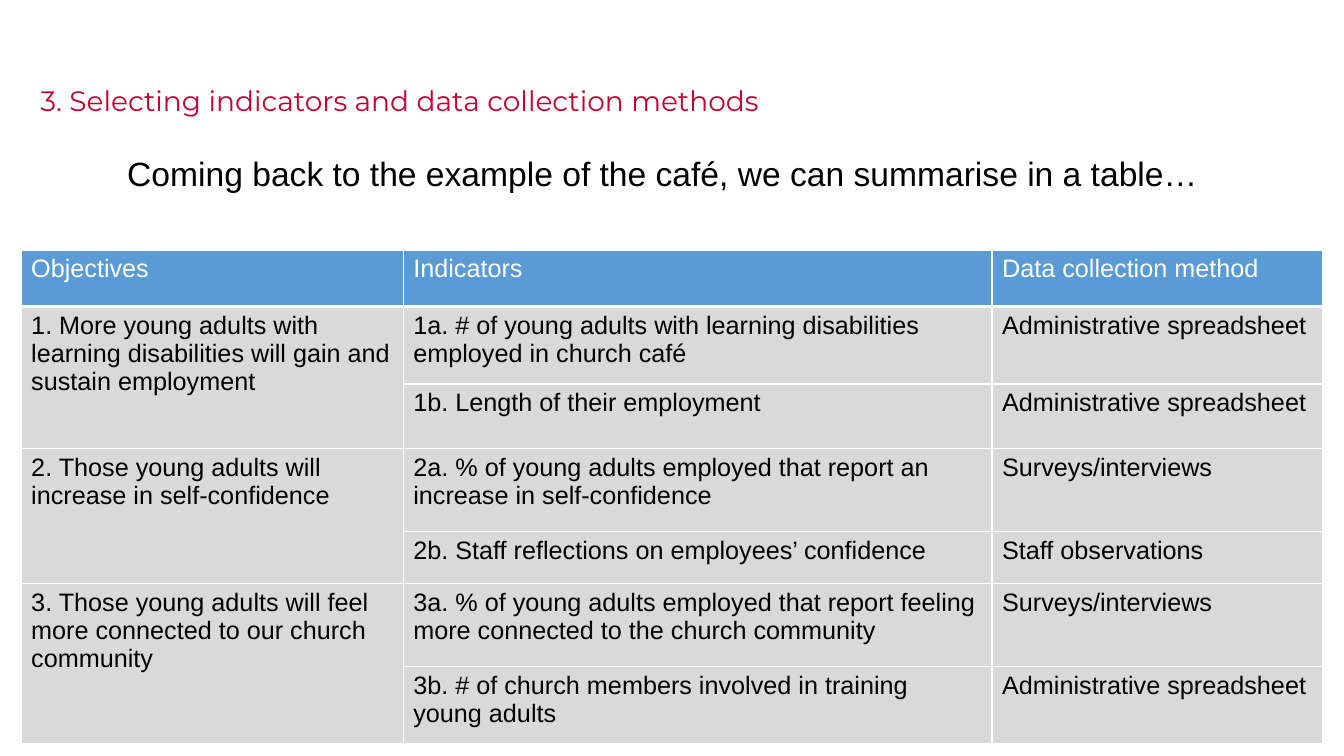
from lxml import etree
from pptx import Presentation
from pptx.dml.color import RGBColor
from pptx.enum.text import MSO_ANCHOR, PP_ALIGN
from pptx.oxml.ns import qn
from pptx.util import Inches, Pt

TITLE = "3. Selecting indicators and data collection methods"
INTRO = "Coming back to the example of the café, we can summarise in a table…"
HEADERS = ["Objectives", "Indicators", "Data collection method"]
OBJECTIVES = [
    ("1. More young adults with learning disabilities will gain and sustain employment", [
        ("1a. # of young adults with learning disabilities employed in church café",
         "Administrative spreadsheet"),
        ("1b. Length of their employment", "Administrative spreadsheet"),
    ]),
    ("2. Those young adults will increase in self-confidence", [
        ("2a. % of young adults employed that report an increase in self-confidence",
         "Surveys/interviews"),
        ("2b. Staff reflections on employees’ confidence", "Staff observations"),
    ]),
    ("3. Those young adults will feel more connected to our church community", [
        ("3a. % of young adults employed that report feeling more connected "
         "to the church community", "Surveys/interviews"),
        ("3b. # of church members involved in training young adults",
         "Administrative spreadsheet"),
    ]),
]
COLUMN_WIDTHS = [3.79, 5.84, 3.28]
ROW_HEIGHTS = [0.56, 0.77, 0.64, 0.82, 0.52, 0.82, 0.77]

TITLE_FONT = {"name": "Montserrat", "size": Pt(20), "color": "C4002F"}
INTRO_FONT = {"name": "Arial", "size": Pt(24), "color": "000000"}
HEADER_FONT = {"name": "Arial", "size": Pt(18), "bold": False, "color": "FFFFFF"}
BODY_FONT = {**HEADER_FONT, "color": "000000"}
HEADER_FILL, BODY_FILL, BORDER = "5B9BD5", "D9D9D9", "FFFFFF"


def color(value):
    return RGBColor.from_string(value)


def write(text_frame, text, font_format, **paragraph_format):
    paragraph = text_frame.paragraphs[0]
    for name, value in paragraph_format.items():
        setattr(paragraph, name, value)
    run = paragraph.add_run()
    run.text = text
    for name, value in font_format.items():
        if name == "color":
            run.font.color.rgb = color(value)
        else:
            setattr(run.font, name, value)


def add_borders(cell, bottom=1):
    properties = cell._tc.get_or_add_tcPr()
    widths = {"a:lnL": 1, "a:lnR": 1, "a:lnT": 1, "a:lnB": bottom}
    for position, (tag, width) in enumerate(widths.items()):
        line = etree.Element(qn(tag), w=str(Pt(width)))
        fill = etree.SubElement(line, qn("a:solidFill"))
        etree.SubElement(fill, qn("a:srgbClr"), val=BORDER)
        properties.insert(position, line)


presentation = Presentation()
presentation.slide_width, presentation.slide_height = Inches(13.33), Inches(7.5)
slide = presentation.slides.add_slide(presentation.slide_layouts[5])

# Title
title = slide.shapes.title
title.left, title.top, title.width, title.height = map(Inches, (0.3, 0.52, 9.85, 0.99))
title.text_frame.vertical_anchor = MSO_ANCHOR.MIDDLE
write(title.text_frame, TITLE, TITLE_FONT, alignment=PP_ALIGN.LEFT, line_spacing=0.9)

# Table: one objective spans the rows of its indicators
rows = [HEADERS]
spans = []
for objective, indicators in OBJECTIVES:
    spans.append((len(rows), len(rows) + len(indicators) - 1))
    for number, (indicator, method) in enumerate(indicators):
        rows.append(["" if number else objective, indicator, method])

table = slide.shapes.add_table(
    len(rows), len(HEADERS), Inches(0.21), Inches(2.48),
    Inches(sum(COLUMN_WIDTHS)), Inches(sum(ROW_HEIGHTS))).table
for column, width in zip(table.columns, COLUMN_WIDTHS):
    column.width = Inches(width)
for row, height in zip(table.rows, ROW_HEIGHTS):
    row.height = Inches(height)
for first, last in spans:
    table.cell(first, 0).merge(table.cell(last, 0))

for row_index, texts in enumerate(rows):
    is_header = row_index == 0
    for column_index, text in enumerate(texts):
        cell = table.cell(row_index, column_index)
        cell.fill.solid()
        cell.fill.fore_color.rgb = color(HEADER_FILL if is_header else BODY_FILL)
        add_borders(cell, bottom=3 if is_header else 1)
        if text:
            write(cell.text_frame, text, HEADER_FONT if is_header else BODY_FONT)

# Introductory sentence
intro = slide.shapes.add_textbox(*map(Inches, (0.82, 1.51, 11.5, 5.05)))
intro.text_frame.word_wrap = True
write(intro.text_frame, INTRO, INTRO_FONT,
      alignment=PP_ALIGN.CENTER, line_spacing=0.9, space_before=Pt(10))

presentation.save("out.pptx")
